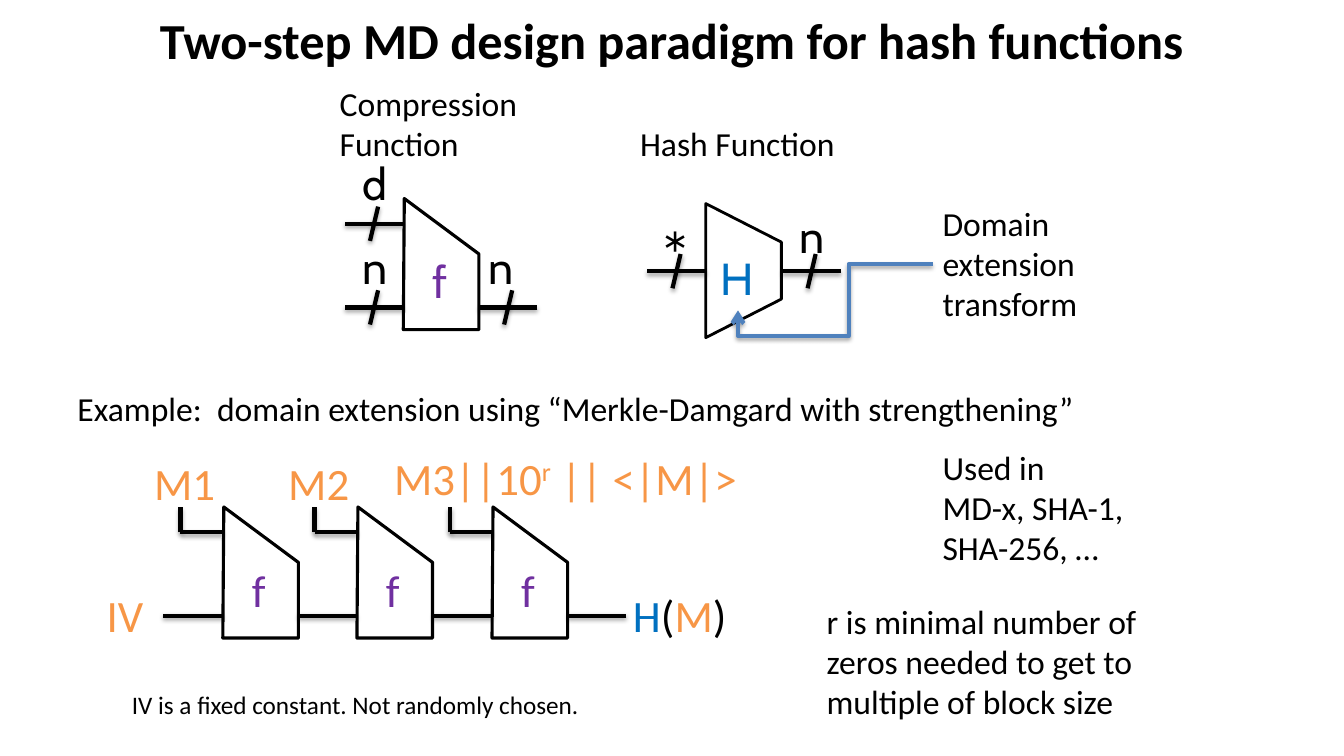
from lxml import etree
from pptx import Presentation
from pptx import util as u
from pptx.dml.color import RGBColor
from pptx.enum import shapes, text
from pptx.oxml.ns import qn

PX = 9144  # 100 px to the inch
BLACK, WHITE = "000000", "FFFFFF"
PURPLE, BLUE, ORANGE, STEEL = "7030A0", "0070C0", "F79646", "4F81BD"


def px(*lengths):
    return [u.Emu(length * PX) for length in lengths]


def paint(color_format, color):
    color_format.rgb = RGBColor.from_string(color)


def style_run(run, size, color, font, bold=False):
    run.font.size = u.Pt(size)
    run.font.name = font
    run.font.bold = bold
    paint(run.font.color, color)


def add_frame(slide, box, wrap):
    frame = slide.shapes.add_textbox(*px(*box)).text_frame
    frame.word_wrap = wrap
    frame.auto_size = text.MSO_AUTO_SIZE.SHAPE_TO_FIT_TEXT
    return frame


def add_label(slide, box, words, size=24, color=BLACK, font="Calibri", wrap=False, bold=False):
    frame = add_frame(slide, box, wrap)
    frame.text = words
    for paragraph in frame.paragraphs:
        for run in paragraph.runs:
            style_run(run, size, color, font, bold)
    return frame


def add_formula(slide, box, terms):
    """Write one line from (words, colour, baseline) terms."""
    paragraph = add_frame(slide, box, False).paragraphs[0]
    for words, color, baseline in terms:
        run = paragraph.add_run()
        run.text = words
        style_run(run, 32, color, "Calibri")
        if baseline:
            run.font.superscript = True if hasattr(run.font, "superscript") else None
            run._r.get_or_add_rPr().set("baseline", str(baseline))


def outline(shape, width):
    shape.shadow.inherit = False
    shape.fill.solid()
    paint(shape.fill.fore_color, WHITE)
    paint(shape.line.color, BLACK)
    shape.line.width = u.Pt(width)


def add_wire(slide, start, end, color=BLACK, kind=shapes.MSO_CONNECTOR.STRAIGHT):
    wire = slide.shapes.add_connector(kind, *px(*start, *end))
    paint(wire.line.color, color)
    wire.line.width = u.Pt(3)
    effects = etree.SubElement(wire._element.spPr, qn("a:effectLst"))
    shadow = etree.SubElement(effects, qn("a:outerShdw"), blurRad=str(u.Pt(3.1)),
                              dist=str(u.Pt(1.8)), dir="5400000", rotWithShape="0")
    shade = etree.SubElement(shadow, qn("a:srgbClr"), val=BLACK)
    etree.SubElement(shade, qn("a:alpha"), val="35000")
    return wire


def add_bus(slide, left, y):
    """Draw a horizontal wire with the slash that marks several bits."""
    add_wire(slide, (left + 58, y), (left, y))
    add_wire(slide, (left + 25, y + 17), (left + 33, y - 17))


def add_compressor(slide, left, top, font):
    """Draw the slanted box of the compression function f."""
    builder = slide.shapes.build_freeform(left, top + 130, PX)
    builder.add_line_segments([(left + 75, top + 130), (left + 75, top + 55), (left + 1, top)])
    outline(builder.convert_to_shape(), 2.25)
    add_label(slide, (left + 19, top + 50, 32, 64), "f", 32, PURPLE, font)


def add_transform_arrow(slide):
    """Lead from the domain extension label round to the underside of H."""
    arrow = add_wire(slide, (925, 262), (732, 308), STEEL, shapes.MSO_CONNECTOR.ELBOW)
    geometry = arrow._element.spPr.find(qn("a:prstGeom"))
    geometry.set("prst", "bentConnector4")
    guides = geometry.find(qn("a:avLst"))
    for name, value in (("adj1", 43100), ("adj2", 154800)):
        etree.SubElement(guides, qn("a:gd"), name=name, fmla=f"val {value}")
    line = arrow._element.spPr.find(qn("a:ln"))
    etree.SubElement(line, qn("a:tailEnd"), type="arrow")


def add_compression_function(slide):
    add_label(slide, (327, 77, 198, 91), "Compression\nFunction")
    add_compressor(slide, 400, 197, "Cabin")
    for name, left, y in (("d", 342, 222), ("n", 342, 305), ("n", 475, 305)):
        add_bus(slide, left, y)
        add_label(slide, (min(left + 8, 475), y - 72, 43, 64), name, 32, font="Cabin")


def add_hash_function(slide):
    add_label(slide, (625, 117, 215, 50), "Hash Function")
    funnel = slide.shapes.add_shape(shapes.MSO_SHAPE.TRAPEZOID, *px(671, 231, 133, 75))
    funnel.adjustments[0] = 0.51
    funnel.rotation = 90
    outline(funnel, 2)
    add_label(slide, (705, 244, 53, 64), "H", 32, BLUE, "Cabin")
    for left in (642, 776):
        add_bus(slide, left, 269)
    add_label(slide, (649, 211, 51, 77), "*", 40, font="Montserrat")
    add_label(slide, (783, 202, 43, 64), "n", 32, font="Cabin")
    add_label(slide, (925, 196, 157, 131), "Domain\nextension\ntransform")
    add_transform_arrow(slide)


def add_chain(slide):
    """Draw the iterated f boxes from IV to H(M)."""
    top, wire_y, message_y = 503, 611, 528
    lefts = [221, 354, 488]
    wire_starts = [162] + [left + 75 for left in lefts]
    wire_ends = lefts + [621]
    for left in lefts:
        add_compressor(slide, left, top, "Calibri")
        add_wire(slide, (left, message_y), (left - 42, message_y))
        add_wire(slide, (left - 42, message_y), (left - 42, top))
    for start, end in zip(wire_starts, wire_ends):
        add_wire(slide, (end, wire_y), (start, wire_y))
    for left, block in zip(lefts, ("M1", "M2")):
        add_label(slide, (left - 78, 447, 81, 64), block, 32, ORANGE)
    add_formula(slide, (381, 442, 365, 64),
                [("M3||10", ORANGE, 0), ("r", ORANGE, 30000), (" || <|M|>", ORANGE, 0)])
    add_label(slide, (96, 578, 59, 64), "IV", 32, ORANGE)
    add_formula(slide, (618, 578, 114, 64),
                [("H", BLUE, 0), ("(", BLACK, 0), ("M", ORANGE, 0), (")", BLACK, 0)])


def main():
    deck = Presentation()
    deck.slide_width, deck.slide_height = px(1333, 750)
    slide = deck.slides.add_slide(deck.slide_layouts[6])
    title = add_label(slide, (125, 4, 1083, 71), "Two-step MD design paradigm for hash functions",
                      36, wrap=True, bold=True)
    title.paragraphs[0].alignment = text.PP_ALIGN.CENTER
    add_compression_function(slide)
    add_hash_function(slide)
    add_label(slide, (67, 380, 1061, 50),
              "Example:  domain extension using “Merkle-Damgard with strengthening”", wrap=True)
    add_chain(slide)
    add_label(slide, (925, 438, 202, 131), "Used in\nMD-x, SHA-1,\nSHA-256, …")
    add_label(slide, (121, 679, 474, 40), "IV is a fixed constant. Not randomly chosen.", 18)
    add_label(slide, (810, 591, 375, 131),
              "r is minimal number of zeros needed to get to multiple of block size", wrap=True)
    deck.save("out.pptx")


if __name__ == "__main__":
    main()
